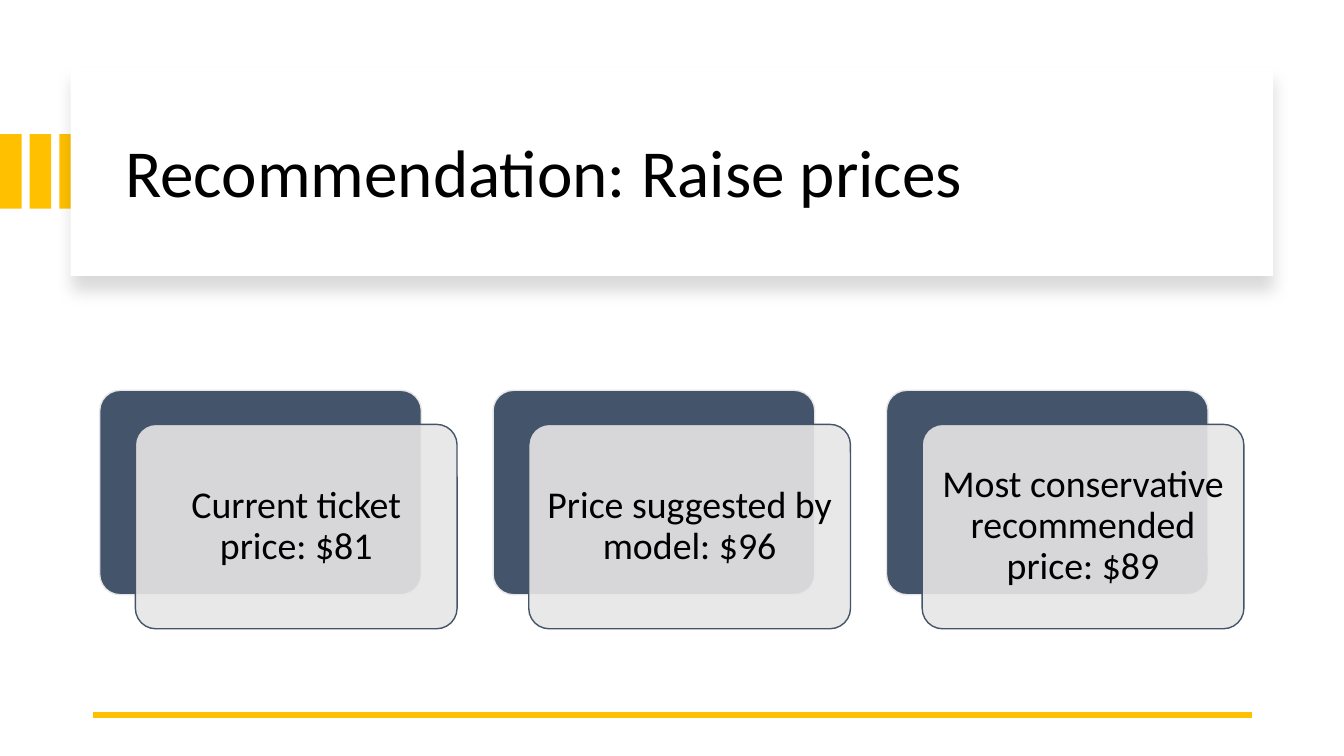
from lxml import etree
from pptx import Presentation
from pptx.dml.color import RGBColor
from pptx.enum import shapes, text
from pptx.oxml.ns import qn
from pptx.util import Pt

GOLD, NAVY, GREY, WHITE, BLACK = "FFC000", "44546A", "E7E6E6", "FFFFFF", "000000"
RECT = shapes.MSO_SHAPE.RECTANGLE
ROUND = shapes.MSO_SHAPE.ROUNDED_RECTANGLE
PRICES = [
    "Current ticket price: $81",
    "Price suggested by model: $96",
    "Most conservative recommended price: $89",
]


def rgb(value):
    return RGBColor.from_string(value)


def add_box(s, kind, x, y, w, h, fill, line=None):
    sp = s.shapes.add_shape(kind, Pt(x), Pt(y), Pt(w), Pt(h))
    sp.shadow.inherit = False
    sp.fill.solid()
    sp.fill.fore_color.rgb = rgb(fill)
    if line:
        sp.line.color.rgb = rgb(line)
        sp.line.width = Pt(1)
    else:
        sp.line.fill.background()
    if kind == ROUND:
        sp.adjustments[0] = 0.1
    return sp


def add_alpha(color, percent):
    etree.SubElement(color, qn("a:alpha"), val=str(percent * 1000))


def add_shadow(sp, blur, dist, percent):
    """Give the shape a soft shadow that falls straight down."""
    effects = sp._element.spPr.find(qn("a:effectLst"))
    shadow = etree.SubElement(
        effects, qn("a:outerShdw"), blurRad=str(Pt(blur)), dist=str(Pt(dist)),
        dir="5400000", algn="t", rotWithShape="0")
    add_alpha(etree.SubElement(shadow, qn("a:srgbClr"), val=BLACK), percent)


def add_text(s, x, y, w, h, words, size, align=text.PP_ALIGN.LEFT, inset_x=7.2, inset_y=3.6):
    tf = s.shapes.add_textbox(Pt(x), Pt(y), Pt(w), Pt(h)).text_frame
    tf.word_wrap = True
    tf.vertical_anchor = text.MSO_ANCHOR.MIDDLE
    tf.margin_left = tf.margin_right = Pt(inset_x)
    tf.margin_top = tf.margin_bottom = Pt(inset_y)
    p = tf.paragraphs[0]
    p.alignment = align
    p.line_spacing = 0.9
    r = p.add_run()
    r.text = words
    r.font.size = Pt(size)
    r.font.name = "Calibri"
    r.font.color.rgb = rgb(BLACK)


def add_rule(s, x1, x2, y, color, width):
    line = s.shapes.add_connector(
        shapes.MSO_CONNECTOR.STRAIGHT, Pt(x1), Pt(y), Pt(x2), Pt(y))
    line.line.color.rgb = rgb(color)
    line.line.width = Pt(width)
    etree.SubElement(line._element.spPr, qn("a:effectLst"))


def add_price_card(s, x, y, words):
    """Draw a dark plate, a translucent plate shifted over it, and the text."""
    w, h = 229.8, 146
    add_box(s, ROUND, x, y, w, h, NAVY, GREY)
    x, y = x + 25.5, y + 24.3
    front = add_box(s, ROUND, x, y, w, h, GREY, NAVY)
    add_alpha(front._element.spPr.find(qn("a:solidFill"))[0], 90)
    pad = 4.3
    add_text(s, x + pad, y + pad, w - 2 * pad, h - 2 * pad, words, 27,
             align=text.PP_ALIGN.CENTER, inset_x=8.1, inset_y=8.1)


def main():
    prs = Presentation()
    prs.slide_width, prs.slide_height = Pt(960), Pt(540)
    s = prs.slides.add_slide(prs.slide_layouts[6])

    for i in range(3):
        add_box(s, RECT, i * 21.2, 95.8, 15.4, 53.3, GOLD)
    title_panel = add_box(s, RECT, 50.4, 48.2, 859, 149, WHITE)
    add_shadow(title_panel, blur=11, dist=10, percent=15)
    add_text(s, 82.4, 64, 801, 122.4, "Recommendation: Raise prices", 48)
    add_rule(s, 894.2, 66.2, 510.5, GOLD, 4.5)
    for i, words in enumerate(PRICES):
        add_price_card(s, 71.2 + i * 281, 278.8, words)

    prs.save("out.pptx")


if __name__ == "__main__":
    main()
